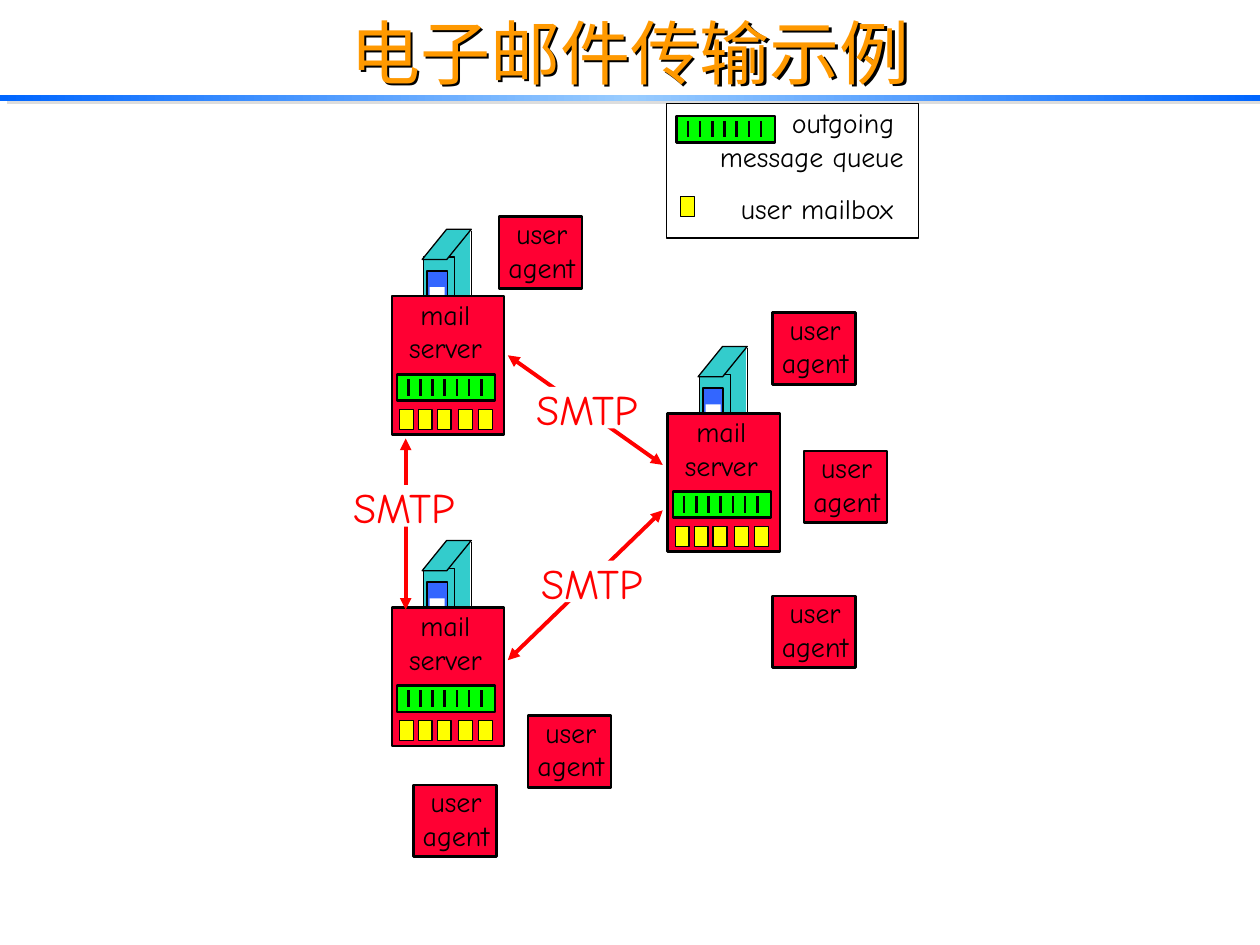
from copy import deepcopy

from pptx import Presentation
from pptx.dml.color import RGBColor
from pptx.enum.shapes import MSO_CONNECTOR as LINE, MSO_SHAPE as SHAPE
from pptx.enum.text import MSO_ANCHOR as ANCHOR, PP_ALIGN as ALIGN
from pptx.oxml import parse_xml
from pptx.oxml.ns import nsdecls, qn
from pptx.util import Inches, Pt

COLORS = {
    "bar": "0066FF", "bar_light": "99CCFF", "bar_shadow": "DDDDDD",
    "title": "FF9900", "black": "000000", "white": "FFFFFF",
    "red": "FF0033", "smtp": "FF0000", "queue": "00FF00",
    "mailbox": "FFFF00", "tower": "33CCCC", "screen": "3366FF",
}

SERVERS = [(3.11, 2.35), (5.3, 3.28), (3.11, 4.82)]
AGENTS = [(3.96, 1.72), (6.13, 2.48), (6.38, 3.58),
          (6.13, 4.73), (4.19, 5.68), (3.28, 6.23)]
SMTP_LABELS = [(4.23, 4.45), (4.19, 3.07), (2.74, 3.85)]
MAILBOX_OFFSETS = [0.06, 0.21, 0.36, 0.53, 0.69]


def rgb(name):
    return RGBColor.from_string(COLORS[name])


def effect_list(color=None, distance=0, angle=0):
    shadow = "" if color is None else (
        f'<a:outerShdw dist="{Pt(distance)}" dir="{angle * 60000}" algn="ctr" rotWithShape="0">'
        f'<a:srgbClr val="{COLORS[color]}"/></a:outerShdw>')
    return parse_xml(f'<a:effectLst {nsdecls("a")}>{shadow}</a:effectLst>')


def write_text(shape, text, size=16, font="Comic Neue", color="black",
               align=ALIGN.CENTER, anchor=ANCHOR.MIDDLE, insets=(0, 0, 0, 0), wrap=False):
    frame = shape.text_frame
    frame.word_wrap = wrap
    frame.vertical_anchor = anchor
    (frame.margin_left, frame.margin_top,
     frame.margin_right, frame.margin_bottom) = map(Inches, insets)
    frame.text = text
    for para in frame.paragraphs:
        para.alignment = align
        for span in para.runs:
            span.font.size = Pt(size)
            span.font.name = font
            span.font.color.rgb = rgb(color)


def add_text(page, left, top, width, height, text, **style):
    box = page.shapes.add_textbox(*map(Inches, (left, top, width, height)))
    write_text(box, text, insets=(0.1, 0.05, 0.1, 0.05), **style)
    return box


def add_block(page, left, top, width, height, fill=None, line=None, kind=SHAPE.RECTANGLE):
    block = page.shapes.add_shape(kind, *map(Inches, (left, top, width, height)))
    block.shadow.inherit = False
    if fill:
        block.fill.solid()
        block.fill.fore_color.rgb = rgb(fill)
    else:
        block.fill.background()
    if line:
        block.line.color.rgb = rgb("black")
        block.line.width = Pt(line)
    else:
        block.line.fill.background()
    return block


def add_line(page, start, end, color="black", width=1.5, arrows=False):
    line = page.shapes.add_connector(LINE.STRAIGHT, *map(Inches, (*start, *end)))
    line.line.color.rgb = rgb(color)
    line.line.width = Pt(width)
    props = line._element.spPr
    if arrows:
        for tag in ("headEnd", "tailEnd"):
            props.find(qn("a:ln")).append(
                parse_xml(f'<a:{tag} {nsdecls("a")} type="triangle"/>'))
    props.append(effect_list())


def add_title(page):
    bar = add_block(page, 0, 0.75, 10, 0.05)
    bar.fill.gradient()
    props = bar._element.spPr
    stop_list = props.find(qn("a:gradFill")).find(qn("a:gsLst"))
    stop_list.append(deepcopy(stop_list[0]))
    for index, (stop, color) in enumerate(
            zip(bar.fill.gradient_stops, ("bar", "bar_light", "bar"))):
        stop.position = index / 2
        stop.color.rgb = rgb(color)
    bar.fill.gradient_angle = 0
    props.replace(props.find(qn("a:effectLst")), effect_list("bar_shadow", 4.5, 27))

    title = add_text(page, 0.79, 0.01, 8.42, 0.79, "电子邮件传输示例",
                     size=40, font="Arial", color="title", wrap=True)
    title._element.spPr.append(effect_list("black", 2, 45))


def add_queue(page, left, top):
    add_block(page, left, top, 0.78, 0.21, "queue", 1.5)
    for index in range(7):
        x = left + 0.09 + index * 0.58 / 6
        add_line(page, (x, top + 0.04), (x, top + 0.17))


def add_mailbox(page, left, top):
    add_block(page, left, top, 0.11, 0.16, "mailbox", 0.75)


def add_legend(page):
    add_block(page, 5.29, 0.82, 2, 1.07, line=0.75)
    add_text(page, 5.73, 1.47, 1.51, 0.37, "user mailbox")
    add_queue(page, 5.37, 0.92)
    add_mailbox(page, 5.4, 1.56)
    add_text(page, 5.55, 0.79, 1.72, 0.64, "outgoing \nmessage queue",
             align=ALIGN.RIGHT, anchor=ANCHOR.TOP)


def add_server(page, left, top):
    add_block(page, left + 0.44, top - 0.53, 0.18, 0.78, "tower")
    add_block(page, left + 0.25, top - 0.31, 0.25, 0.78, "tower", 0.75)
    lid = add_block(page, left + 0.24, top - 0.53, 0.39, 0.24, "tower", 0.75,
                    SHAPE.PARALLELOGRAM)
    lid.adjustments[0] = 0.81
    add_line(page, (left + 0.63, top - 0.52), (left + 0.63, top + 0.25), width=0.75)
    add_block(page, left + 0.28, top - 0.2, 0.16, 0.45, "screen", 0.75)
    add_block(page, left + 0.3, top - 0.07, 0.12, 0.16, "white")
    body = add_block(page, left, top, 0.89, 1.1, "red", 1.5)
    write_text(body, "mail\nserver", anchor=ANCHOR.TOP, insets=(0, 0.01, 0.04, 0))
    add_queue(page, left + 0.04, top + 0.62)
    for offset in MAILBOX_OFFSETS:
        add_mailbox(page, left + offset, top + 0.9)


def add_agent(page, left, top):
    agent = add_block(page, left, top, 0.66, 0.57, "red", 1.5)
    write_text(agent, "user\nagent", insets=(0.02, 0, 0, 0.04))


def add_smtp_label(page, left, top):
    label = add_block(page, left, top, 0.94, 0.33, "white")
    write_text(label, "SMTP", size=24, color="smtp", insets=(0, 0.02, 0, 0))


def add_smtp_arrow(page, start, end):
    add_line(page, start, end, color="smtp", width=2.25, arrows=True)


def main():
    deck = Presentation()
    deck.slide_width, deck.slide_height = Inches(10), Inches(7.5)
    page = deck.slides.add_slide(deck.slide_layouts[6])
    add_title(page)
    add_legend(page)
    add_smtp_arrow(page, (4.03, 2.82), (5.26, 3.69))
    for place in SERVERS:
        add_server(page, *place)
    for place in AGENTS:
        add_agent(page, *place)
    add_smtp_arrow(page, (4.03, 5.24), (5.26, 4.05))
    add_smtp_arrow(page, (3.22, 4.84), (3.22, 3.48))
    for place in SMTP_LABELS:
        add_smtp_label(page, *place)
    deck.save("out.pptx")


if __name__ == "__main__":
    main()
